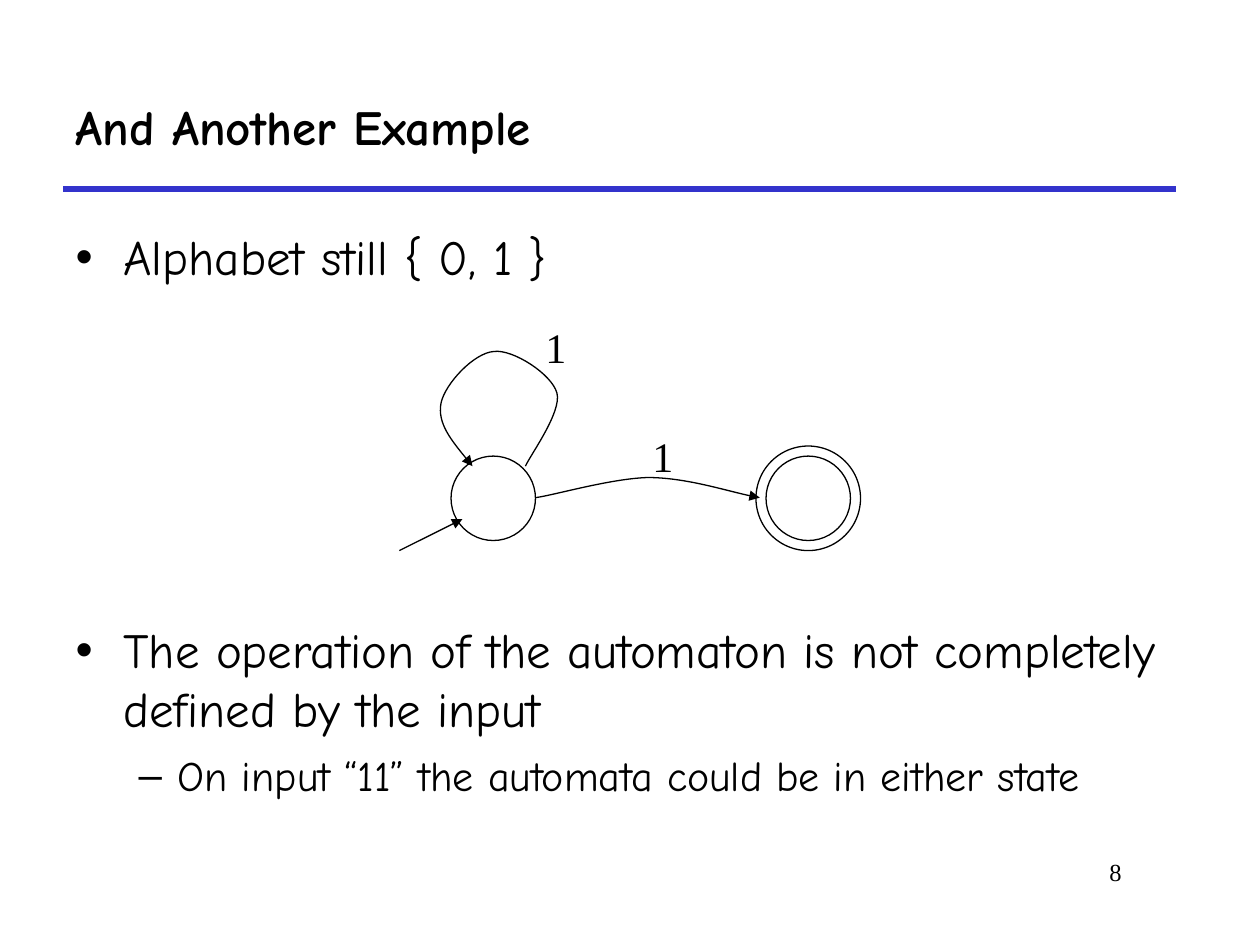
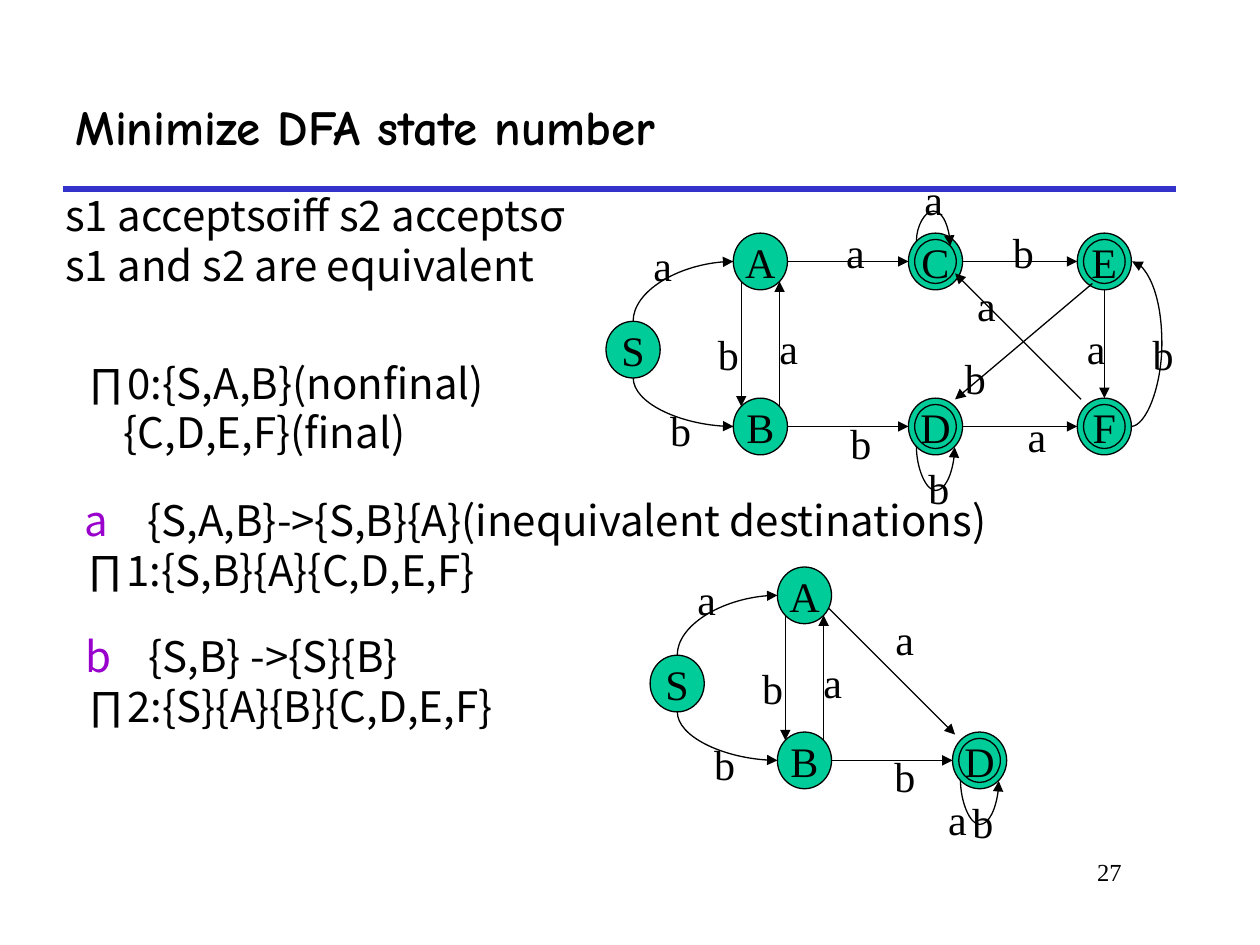
import math
from lxml import etree
from pptx import Presentation
from pptx.dml.color import RGBColor
from pptx.enum import shapes, text
from pptx.oxml.ns import qn
from pptx.util import Inches, Pt

COLORS = {"ink": "000000", "rule": "3333CC", "state": "00CC99", "step": "9900CC"}
COMIC, SANS, SERIF = "Comic Neue", "Noto Sans CJK SC", "Times New Roman"

# ---- Slide 1 content: (text, level, size, space before)
EXAMPLE_BODY = [
    ("Alphabet still { 0, 1 }", 0, 28, 0),
    ("The operation of the automaton is not completely defined by the input", 0, 28, 191),
    ("On input “11” the automata could be in either state", 1, 24, 7),
]
NFA_CIRCLES = [(6.08, 3.62, 0.67), (6, 3.54, 0.83), (3.58, 3.62, 0.67)]
NFA_START = ((3.17, 4.37), (3.67, 4.12))
NFA_ARCS = [  # start point, then two control points and an end point per curve
    [(4.25, 3.95), (4.4, 3.93), (4.84, 3.8), (5.14, 3.79),
     (5.44, 3.79), (5.84, 3.92), (6.03, 3.95)],
    [(4.17, 3.7), (4.21, 3.61), (4.46, 3.27), (4.42, 3.12),
     (4.38, 2.97), (4.07, 2.77), (3.92, 2.79),
     (3.76, 2.8), (3.53, 3.05), (3.5, 3.2),
     (3.47, 3.36), (3.61, 3.53), (3.75, 3.7)],
]
NFA_LABELS = [("1", 5.08, 3.37), ("1", 4.23, 2.5)]

# ---- Slide 2 content
NODE_W, NODE_H, RING = 0.43, 0.45, 0.05
NODES = {"S": (4.81, 2.55), "A": (5.82, 1.85), "B": (5.82, 3.16), "C": (7.21, 1.85),
         "D": (7.21, 3.16), "E": (8.55, 1.85), "F": (8.55, 3.16)}
FINAL = "CDEF"
ANGLES = {d: i * math.pi / 4 for i, d in enumerate(["E", "SE", "S", "SW", "W", "NW", "N", "NE"])}

# Bend: rotation, flip, depth of the bulge (None for a quarter turn)
BENDS = {"rise": (270, None, None), "drop": (270, "flipH", None), "under": (270, "flipH", 0.36),
         "over": (90, "flipV", -0.24), "side": (0, "flipV", 0.25)}

# Edge ends are "state.direction" (lower case: on the inner ring) or a point
CORE = {
    "nodes": "DBAS",
    "edges": [("B.NE", "A.SE"), ("A.SW", "B.NW"), ("B.E", "D.W")],
    "curves": [("S.N", "A.W", "rise"), ("S.S", "B.W", "drop"), ("D.SW", "D.SE", "under")],
    "labels": [("a", 5.08, 1.85), ("a", 6.08, 2.51), ("b", 5.22, 3.16), ("b", 5.6, 2.56),
               ("b", 6.65, 3.26), ("b", 7.27, 3.62)],
}
FULL_EXTRA = {
    "nodes": "CEF",
    "edges": [("A.E", "C.W"), ("D.E", "F.W"), ("C.E", "E.W"), ("E.S", "F.N"),
              ((8.58, 3.17), (7.58, 2.17)), ((8.67, 2.25), (7.58, 3.17))],
    "curves": [("F.E", "E.E", "side"), ("C.NW", "C.ne", "over")],
    "labels": [("b", 9.05, 2.56), ("a", 6.61, 1.75), ("a", 7.65, 2.17), ("a", 8.52, 2.51),
               ("a", 8.05, 3.21), ("b", 7.56, 2.75), ("b", 7.94, 1.75), ("a", 7.23, 1.33)],
}
MINIMAL_EXTRA = {
    "nodes": "", "curves": [],
    "edges": [((6.23, 2.18), (7.23, 3.18))],
    "labels": [("a", 6.65, 2.17), ("a", 7.07, 3.6)],
}
MINIMAL_OFFSET = (0.35, 2.65)

# Text blocks: box, tab stop, lines of (left indent, runs of (text, colour))
PARTITION = ((0.58, 2.83, 3.72, 1.06), 0.4, [
    (0, [("∏0:{S,A,B}(nonfinal)", "ink")]),
    (0.3, [("{C,D,E,F}(final)", "ink")])])
STEPS = [
    ((0.57, 3.92, 8.31, 1.25), 0.41, [
        (0, [("a\t", "step"), ("{S,A,B}->{S,B}{A}(inequivalent destinations)", "ink")]),
        (0, [("∏1:{S,B}{A}{C,D,E,F}", "ink")])]),
    ((0.58, 5, 4.25, 1.25), 0.44, [
        (0, [("b\t", "step"), ("{S,B} ->{S}{B}", "ink")]),
        (0, [("∏2:{S}{A}{B}{C,D,E,F}", "ink")])]),
    ((0.42, 1.5, 5.17, 1.06), 0.4, [
        (0, [("s1 acceptsσiff s2 acceptsσ", "ink")]),
        (0, [("s1 and s2 are equivalent", "ink")])]),
]


def rgb(name):
    return RGBColor.from_string(COLORS[name])


def style(r, size, font, color="ink", bold=False):
    f = r.font
    f.size, f.name, f.bold = Pt(size), font, bold
    f.color.rgb = rgb(color)
    for tag in ("a:ea", "a:sym"):
        etree.SubElement(r._r.get_or_add_rPr(), qn(tag)).set("typeface", font)


def place(sp, box):
    sp.left, sp.top, sp.width, sp.height = map(Inches, box)


def outline(sp, color="ink", width=0.75, arrow=False):
    sp.line.color.rgb = rgb(color)
    sp.line.width = Pt(width)
    if arrow:
        etree.SubElement(sp.line._get_or_add_ln(), qn("a:tailEnd")).set("type", "triangle")


def add_line(s, start, end, kind=shapes.MSO_CONNECTOR.STRAIGHT, **look):
    c = s.shapes.add_connector(kind, *map(Inches, (*start, *end)))
    outline(c, **look)
    etree.SubElement(c._element.spPr, qn("a:effectLst"))
    return c


def add_bend(s, start, end, bend):
    """Curved connector, laid out in its unrotated box about the middle of its ends."""
    rot, flip, depth = BENDS[bend]
    w, h = abs(end[0] - start[0]), abs(end[1] - start[1])
    if rot:
        w, h = h, w
    w = max(w, 0.01)
    x, y = (start[0] + end[0] - w) / 2, (start[1] + end[1] - h) / 2
    c = add_line(s, (x, y), (x + w, y + h), shapes.MSO_CONNECTOR.CURVE, arrow=True)
    xfrm = c._element.spPr.find(qn("a:xfrm"))
    xfrm.set("rot", str(rot * 60000))
    if flip:
        xfrm.set(flip, "1")
    geom = c._element.spPr.find(qn("a:prstGeom"))
    if depth is None:
        geom.set("prst", "curvedConnector2")
    else:
        av = geom.find(qn("a:avLst"))
        if av is None:
            av = etree.SubElement(geom, qn("a:avLst"))
        gd = etree.SubElement(av, qn("a:gd"))
        gd.set("name", "adj1")
        gd.set("fmla", f"val {round(depth / w * 100000)}")


def add_arc(s, points):
    """Open freeform whose every three points after the first make a Bezier curve."""
    pts = [tuple(map(Inches, p)) for p in points]
    fb = s.shapes.build_freeform(*pts[0], scale=1.0)
    fb.add_line_segments(pts[1:], close=False)
    sp = fb.convert_to_shape()
    sp.shadow.inherit = False
    sp.fill.background()
    outline(sp, arrow=True)
    path = next(sp._element.iter(qn("a:path")))
    lines = path.findall(qn("a:lnTo"))
    for i in range(0, len(lines), 3):
        curve = etree.SubElement(path, qn("a:cubicBezTo"))
        for ln in lines[i:i + 3]:
            curve.append(ln[0])
            path.remove(ln)


def add_ellipse(s, box, fill=None, label=""):
    sp = s.shapes.add_shape(shapes.MSO_SHAPE.OVAL, *map(Inches, box))
    sp.shadow.inherit = False
    outline(sp)
    if fill:
        sp.fill.solid()
        sp.fill.fore_color.rgb = rgb(fill)
    else:
        sp.fill.background()
    if label:
        center_text(sp.text_frame, label)


def center_text(tf, label):
    tf.word_wrap = False
    tf.vertical_anchor = text.MSO_ANCHOR.MIDDLE
    p = tf.paragraphs[0]
    p.text, p.alignment = label, text.PP_ALIGN.CENTER
    style(p.runs[0], 24, SERIF)


def add_label(s, label, x, y):
    tb = s.shapes.add_textbox(*map(Inches, (x, y, 0.36, 0.5)))
    center_text(tb.text_frame, label)


def new_slide(prs, title, number):
    s = prs.slides.add_slide(prs.slide_layouts[1])
    add_line(s, (0.5, 1.5), (9.33, 1.5), color="rule", width=3)
    tb = s.shapes.add_textbox(*map(Inches, (7.58, 6.75, 1.42, 0.5)))
    p = tb.text_frame.paragraphs[0]
    p.text, p.alignment = str(number), text.PP_ALIGN.RIGHT
    style(p.runs[0], 14, SERIF)
    t = s.shapes.title
    place(t, (0.5, 0.5, 8.83, 1))
    t.text_frame.vertical_anchor = text.MSO_ANCHOR.MIDDLE
    t.text_frame.auto_size = text.MSO_AUTO_SIZE.NONE
    p = t.text_frame.paragraphs[0]
    p.text, p.alignment = title, text.PP_ALIGN.LEFT
    style(p.runs[0], 28, COMIC, bold=True)
    return s


def next_paragraph(tf, i):
    return tf.add_paragraph() if i else tf.paragraphs[0]


def set_indent(p, left, first):
    pPr = p._p.get_or_add_pPr()
    pPr.set("marL", str(Inches(left)))
    pPr.set("indent", str(Inches(first)))
    return pPr


def fill_bullets(body, items):
    tf = body.text_frame
    tf.auto_size = text.MSO_AUTO_SIZE.NONE
    for i, (line, level, size, before) in enumerate(items):
        p = next_paragraph(tf, i)
        p.text, p.level, p.space_before = line, level, Pt(before)
        pPr = set_indent(p, *[(0.38, -0.38), (0.81, -0.31)][level])
        etree.SubElement(pPr, qn("a:buChar")).set("char", "•–"[level])
        style(p.runs[0], size, COMIC)


def fill_block(tf, tab, lines):
    tf.word_wrap = True
    tf.auto_size = text.MSO_AUTO_SIZE.NONE
    for i, (left, runs) in enumerate(lines):
        p = next_paragraph(tf, i)
        p.line_spacing, p.space_before = 0.9, Pt(2.5 if i else 0)
        pPr = set_indent(p, left, 0)
        etree.SubElement(pPr, qn("a:buNone"))
        stop = etree.SubElement(etree.SubElement(pPr, qn("a:tabLst")), qn("a:tab"))
        stop.set("pos", str(Inches(tab)))
        stop.set("algn", "l")
        for words, color in runs:
            r = p.add_run()
            r.text = words
            style(r, 24, SANS, color)


def edge_point(end):
    if isinstance(end, tuple):
        return end
    node, side = end.split(".")
    x, y = NODES[node]
    a, inset = ANGLES[side.upper()], RING if side.islower() else 0
    return (x + NODE_W / 2 + (NODE_W / 2 - inset) * math.cos(a),
            y + NODE_H / 2 + (NODE_H / 2 - inset) * math.sin(a))


def draw_dfa(s, parts, dx=0, dy=0):
    def at(end):
        x, y = edge_point(end)
        return x + dx, y + dy

    for part in parts:
        for name in part["nodes"]:
            x, y = at(NODES[name])
            final = name in FINAL
            add_ellipse(s, (x, y, NODE_W, NODE_H), "state", "" if final else name)
            if final:
                add_ellipse(s, (x + RING, y + RING, NODE_W - 2 * RING, NODE_H - 2 * RING),
                            "state", name)
    for part in parts:
        for start, end in part["edges"]:
            add_line(s, at(start), at(end), arrow=True)
        for start, end, bend in part["curves"]:
            add_bend(s, at(start), at(end), bend)
        for label, x, y in part["labels"]:
            add_label(s, label, x + dx, y + dy)


def build_example(prs):
    s = new_slide(prs, "And Another Example", 8)
    body = s.placeholders[1]
    place(body, (0.5, 1.75, 9.08, 4.83))
    fill_bullets(body, EXAMPLE_BODY)
    for x, y, d in NFA_CIRCLES:
        add_ellipse(s, (x, y, d, d))
    add_line(s, *NFA_START, arrow=True)
    for points in NFA_ARCS:
        add_arc(s, points)
    for label in NFA_LABELS:
        add_label(s, *label)


def build_minimize(prs):
    s = new_slide(prs, "Minimize DFA state number", 27)
    draw_dfa(s, [CORE, MINIMAL_EXTRA], *MINIMAL_OFFSET)
    draw_dfa(s, [CORE, FULL_EXTRA])
    box, tab, lines = PARTITION
    place(s.placeholders[1], box)
    fill_block(s.placeholders[1].text_frame, tab, lines)
    for box, tab, lines in STEPS:
        tb = s.shapes.add_textbox(*map(Inches, box))
        fill_block(tb.text_frame, tab, lines)


def main():
    prs = Presentation()
    prs.slide_width, prs.slide_height = Inches(10), Inches(7.5)
    build_example(prs)
    build_minimize(prs)
    prs.save("out.pptx")


if __name__ == "__main__":
    main()
